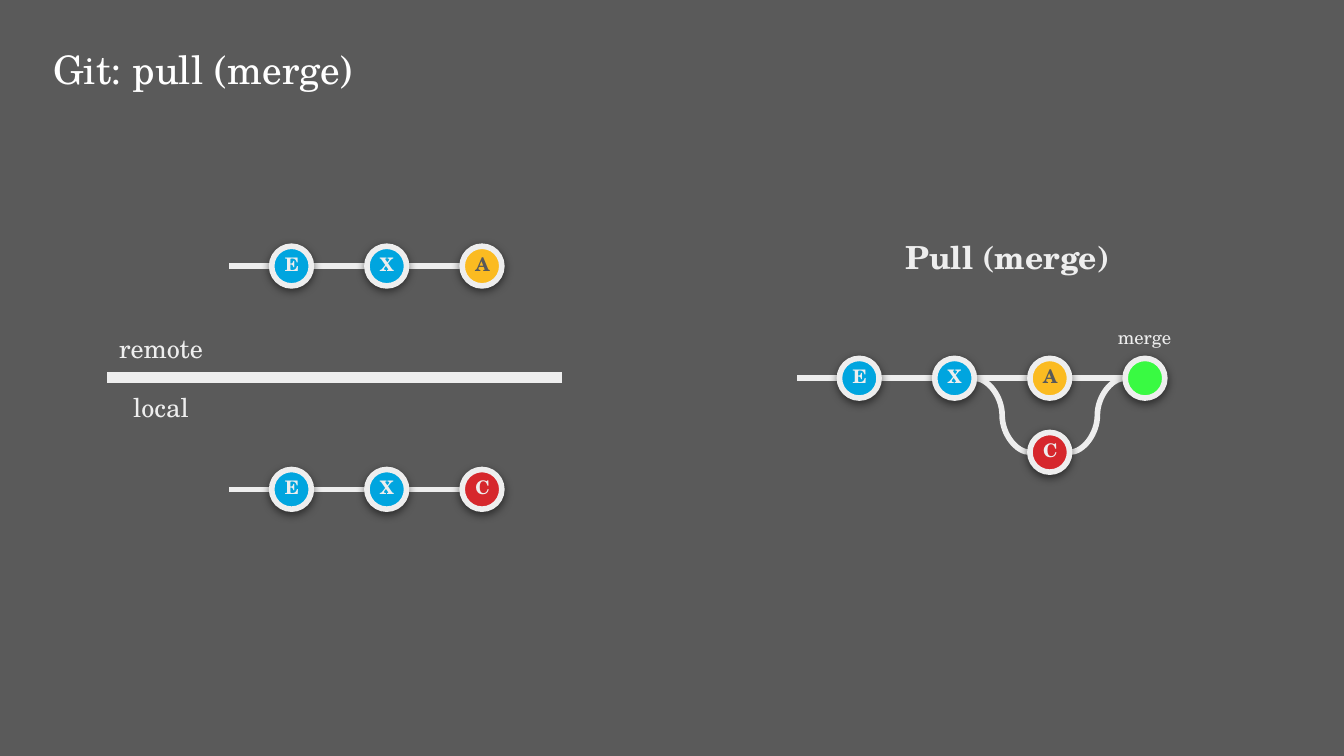
from lxml import etree
from pptx import Presentation
from pptx.dml.color import RGBColor
from pptx.enum.shapes import MSO_CONNECTOR as Link, MSO_SHAPE as Shape
from pptx.enum.text import MSO_AUTO_SIZE as AutoSize, PP_ALIGN as Align
from pptx.oxml.ns import qn
from pptx.util import Cm, Pt

BACKGROUND = RGBColor(0x5A, 0x5A, 0x5A)
WHITE = RGBColor(0xFF, 0xFF, 0xFF)
LIGHT = RGBColor(0xEE, 0xEE, 0xEE)
DARK = RGBColor(0x59, 0x59, 0x59)
BLUE = RGBColor(0x00, 0xA5, 0xDF)
YELLOW = RGBColor(0xFB, 0xBB, 0x21)
RED = RGBColor(0xD6, 0x27, 0x2C)
GREEN = RGBColor(0x39, 0xFA, 0x42)

FONT = "TeX Gyre Schola"
DIAMETER = 0.75
RADIUS = DIAMETER / 2
PITCH = 1.8  # distance between neighbouring commit centres
LEAD = 0.8  # length of the line before the first commit
LABEL_HEIGHT = 0.94

# Commit name: (fill, letter colour)
COMMITS = {
    "E": (BLUE, LIGHT),
    "X": (BLUE, LIGHT),
    "A": (YELLOW, DARK),
    "C": (RED, LIGHT),
    "": (GREEN, LIGHT),
}


class GitSlide:
    """Holds the slide and draws commit graphs in one style, in centimetres."""

    def __init__(self, slide):
        self.slide = slide
        slide.background.fill.solid()
        slide.background.fill.fore_color.rgb = BACKGROUND

    def text(self, words, left, top, width, height, size,
             color=LIGHT, bold=False, align=Align.CENTER):
        box = self.slide.shapes.add_textbox(Cm(left), Cm(top), Cm(width), Cm(height))
        frame = box.text_frame
        frame.word_wrap = True
        frame.auto_size = AutoSize.SHAPE_TO_FIT_TEXT
        frame.margin_left = frame.margin_right = Cm(0.25)
        frame.margin_top = frame.margin_bottom = Cm(0.25)
        frame.text = words
        paragraph = frame.paragraphs[0]
        paragraph.alignment = align
        font = paragraph.runs[0].font
        font.name, font.size, font.bold = FONT, Pt(size), bold
        font.color.rgb = color

    def line(self, x1, y1, x2, y2, weight=3):
        """Draw a straight line, or an S-curve when the ends differ in height."""
        kind = Link.STRAIGHT if y1 == y2 else Link.CURVE
        link = self.slide.shapes.add_connector(kind, Cm(x1), Cm(y1), Cm(x2), Cm(y2))
        link.line.color.rgb = LIGHT
        link.line.width = Pt(weight)
        etree.SubElement(link._element.spPr, qn("a:effectLst"))

    def edge(self, start, end):
        """Join the right side of one commit to the left side of the next."""
        self.line(start[0] + RADIUS, start[1], end[0] - RADIUS, end[1])

    def commit(self, name, x, y):
        fill, letter_color = COMMITS[name]
        circle = self.slide.shapes.add_shape(
            Shape.OVAL, Cm(x - RADIUS), Cm(y - RADIUS), Cm(DIAMETER), Cm(DIAMETER))
        circle.fill.solid()
        circle.fill.fore_color.rgb = fill
        circle.line.color.rgb = LIGHT
        circle.line.width = Pt(3)
        self.shadow(circle)
        if name:
            self.text(name, x - RADIUS, y - LABEL_HEIGHT / 2, DIAMETER, LABEL_HEIGHT,
                      10, letter_color, bold=True)

    def shadow(self, shape):
        shape.shadow.inherit = False
        effects = shape._element.spPr.find(qn("a:effectLst"))
        outer = etree.SubElement(effects, qn("a:outerShdw"), blurRad=str(Pt(4.5)),
                                 dist=str(Pt(1.5)), dir="5400000",
                                 algn="bl", rotWithShape="0")
        black = etree.SubElement(outer, qn("a:srgbClr"), val="000000")
        etree.SubElement(black, qn("a:alpha"), val="50000")

    def history(self, names, x, y, side_commit=None, drop=1.4):
        """Draw a row of commits; a side commit hangs below the last but one."""
        centres = [(x + i * PITCH, y) for i in range(len(names))]
        self.line(x - RADIUS - LEAD, y, x - RADIUS, y)
        for start, end in zip(centres, centres[1:]):
            self.edge(start, end)
        commits = list(zip(names, centres))
        if side_commit:
            before, above, after = centres[-3:]
            side = (above[0], y + drop)
            self.edge(before, side)
            self.edge(side, after)
            commits.append((side_commit, side))
        for name, centre in commits:
            self.commit(name, *centre)


def main():
    deck = Presentation()
    deck.slide_width, deck.slide_height = Cm(25.4), Cm(14.29)
    page = GitSlide(deck.slides.add_slide(deck.slide_layouts[6]))

    page.text("Git: pull (merge)", 0.76, 0.61, 14.58, 1.42, 21, WHITE, align=Align.LEFT)

    page.history(["E", "X", "A"], 5.51, 5.03)
    page.history(["E", "X", "C"], 5.51, 9.25)
    page.line(2.03, 7.14, 10.62, 7.14, weight=6)
    page.text("remote", 1.75, 6.04, 2.59, 1.12, 14)
    page.text("local", 1.75, 7.14, 2.59, 1.12, 14)

    page.text("Pull (merge)", 15.8, 4.24, 6.48, 1.24, 17, bold=True)
    page.history(["E", "X", "A", ""], 16.24, 7.15, side_commit="C")
    page.text("merge", 20.63, 5.94, 2, LABEL_HEIGHT, 10)

    deck.save("out.pptx")


if __name__ == "__main__":
    main()
